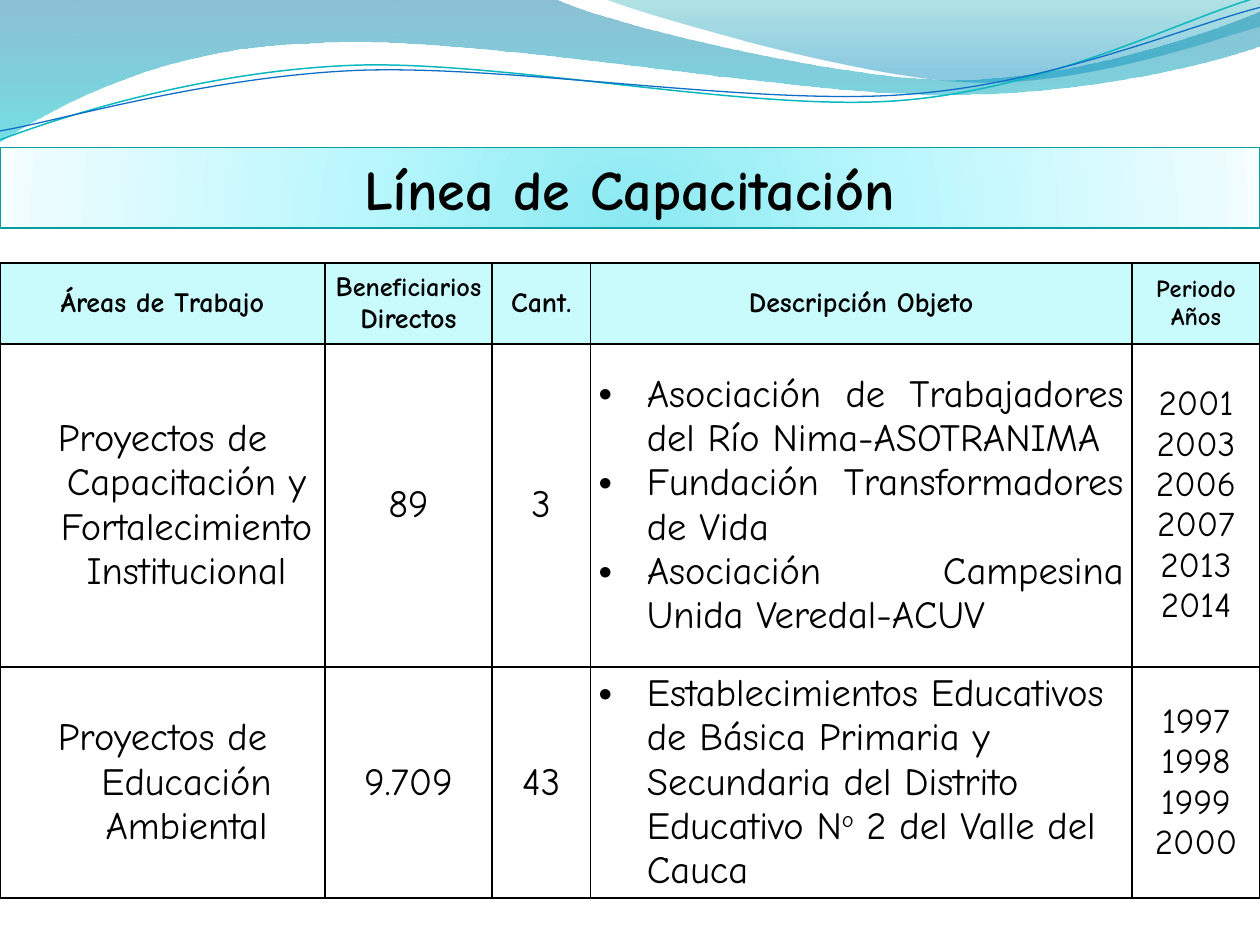
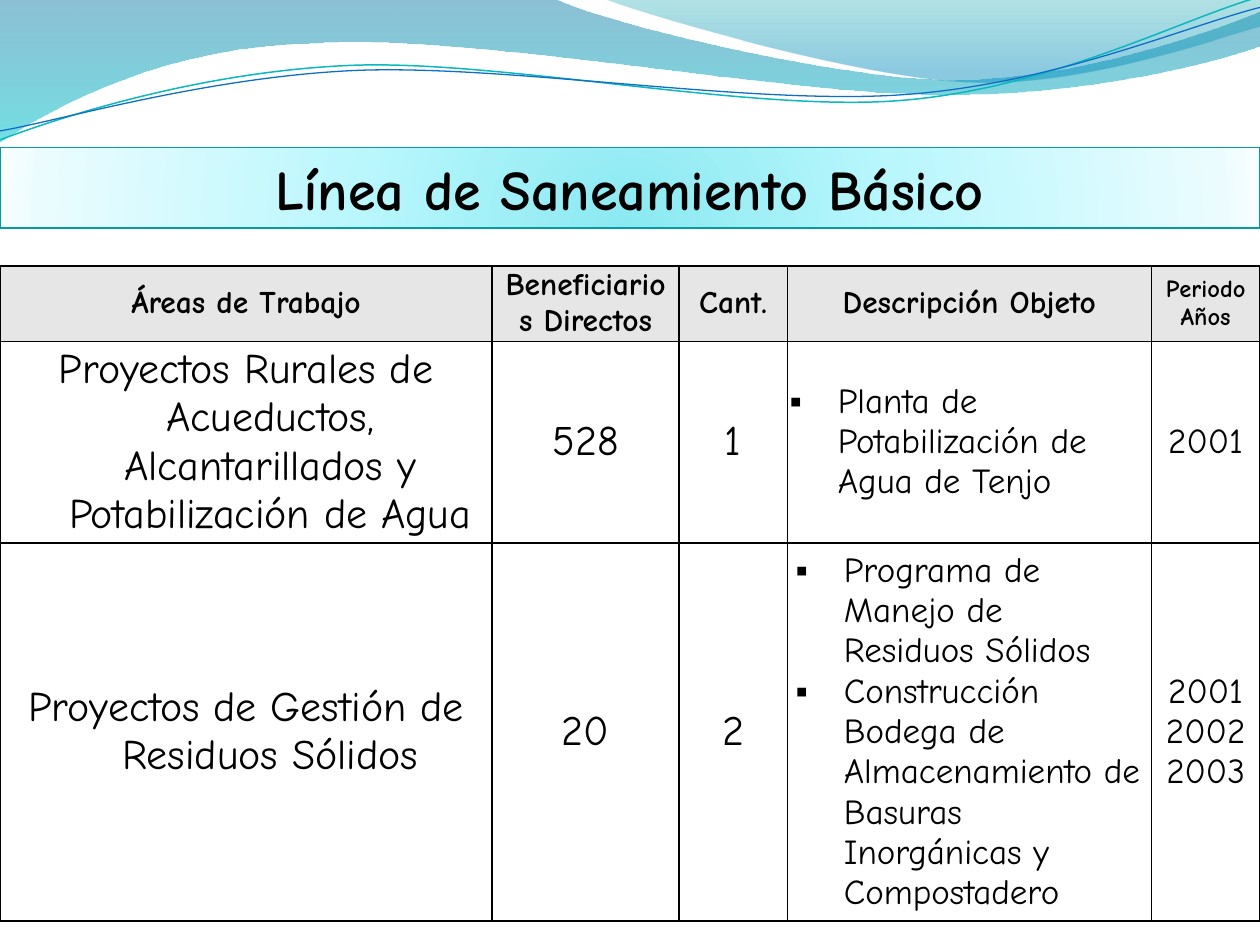
import math

import pptx
import pptx.dml.color
import pptx.enum.text
import pptx.util
from lxml import etree
from pptx.oxml.ns import qn

Cm = pptx.util.Cm
Pt = pptx.util.Pt
CENTER = pptx.enum.text.PP_ALIGN.CENTER
LEFT = pptx.enum.text.PP_ALIGN.LEFT
JUSTIFY = pptx.enum.text.PP_ALIGN.JUSTIFY
MIDDLE = pptx.enum.text.MSO_ANCHOR.MIDDLE

# Outlines in cm: a start, then line ends (one point) or Bezier curves (three points).
BROAD_WAVE = [
    [(0, 0)], [(11.18, -0.03)],
    [(12.09, 0.43), (16.87, 1.6), (19.25, 1.6)],
    [(21.67, 1.6), (24.33, 0.66), (25.4, 0.23)],
    [(25.43, 0.91)],
    [(24.97, 1.12), (22.1, 1.93), (18.95, 1.91)],
    [(15.8, 1.9), (9.7, 0.71), (6.53, 0.86)],
    [(3.28, 0.91), (1.17, 2.11), (-0.03, 2.87)],
    [(0, 0)],
]
RIGHT_WAVE = [
    [(12.17, -0.03)],
    [(12.93, 0.28), (17.32, 1.57), (19.53, 1.65)],
    [(21.74, 1.75), (24.41, 0.81), (25.4, 0.53)],
    [(25.4, 0)], [(12.17, -0.03)],
]
TEAL_CURVE = [
    [(0, 2.82)],
    [(1.22, 2.36), (4.01, 1.45), (7.04, 1.32)],
    [(10.03, 1.19), (15.06, 2.26), (18.11, 2.03)],
    [(21.16, 1.8), (23.83, 0.38), (25.35, -0.05)],
]
BLUE_CURVE = [
    [(0, 2.64)],
    [(1.19, 2.44), (4.17, 1.55), (7.19, 1.42)],
    [(10.24, 1.3), (15.16, 2.13), (18.21, 1.91)],
    [(21.23, 1.7), (23.9, 0.53), (25.4, 0.15)],
]


def rgb(color):
    return pptx.dml.color.RGBColor.from_string(color)


def add_node(parent, tag, **attributes):
    return etree.SubElement(parent, qn(tag), {k: str(v) for k, v in attributes.items()})


def add_color(parent, color, opacity=100):
    node = add_node(parent, "a:srgbClr", val=color)
    if opacity < 100:
        add_node(node, "a:alpha", val=opacity * 1000)


def turn(outline, pivot, degrees):
    cos, sin = math.cos(math.radians(degrees)), math.sin(math.radians(degrees))

    def turn_point(x, y):
        x, y = x - pivot[0], y - pivot[1]
        return pivot[0] + x * cos - y * sin, pivot[1] + x * sin + y * cos

    return [[turn_point(*point) for point in part] for part in outline]


class Slides:
    font = "Comic Neue"
    ink = "000000"
    tilt = -2.7
    hanging = Cm(0.97)

    def __init__(self):
        self.deck = pptx.Presentation()
        self.deck.slide_width, self.deck.slide_height = Cm(25.4), Cm(19.05)
        self.layout = self.deck.slide_layouts[5]
        self.page = None

    def add_page(self, title):
        self.page = self.deck.slides.add_slide(self.layout)
        if len(self.deck.slides) == 1:
            self.draw_waves()
        self.title_band(title)

    def draw_waves(self):
        """Draw the wave header once, on the layout that all pages share."""
        self.wave(BROAD_WAVE, [(0, "0074A1", 45), (100, "00C6CF", 55)])
        self.wave(RIGHT_WAVE, [(0, "00A1A9", 30), (80, "008BBF", 45)])
        self.curve(TEAL_CURVE, (12.68, 1.46), "0AB8BF", 0.85)
        self.curve(BLUE_CURVE, (12.69, 1.5), "0F6FC6", 0.75)

    def freeform(self, outline, close):
        points = [(Cm(x), Cm(y)) for part in outline for x, y in part]
        builder = self.page.shapes.build_freeform(*points[0], scale=1.0)
        builder.add_line_segments(points[1:], close=close)
        shape = builder.convert_to_shape()
        shape.shadow.inherit = False
        self.bend(shape, outline)
        self.layout.shapes.element.append(shape.element)
        return shape

    def bend(self, shape, outline):
        """Join each three line ends of a curved part into one Bezier curve."""
        lines = iter(list(shape.element.iter(qn("a:lnTo"))))
        for part in outline[1:]:
            first, *others = [next(lines) for _ in part]
            if others:
                curve = etree.Element(qn("a:cubicBezTo"))
                first.addprevious(curve)
                for line in (first, *others):
                    curve.append(line[0])
                    line.getparent().remove(line)

    def wave(self, outline, stops):
        shape = self.freeform(outline, close=True)
        add_node(self.gradient(shape, stops), "a:lin", ang=90 * 60000, scaled=0)
        shape.line.fill.background()

    def curve(self, outline, pivot, color, width):
        shape = self.freeform(turn(outline, pivot, -self.tilt), close=False)
        shape.rotation = self.tilt
        shape.fill.background()
        shape.line.color.rgb = rgb(color)
        shape.line.width = Pt(width)

    def gradient(self, shape, stops):
        """Give the shape these stops; the caller adds the direction."""
        shape.fill.gradient()
        fill = shape.element.spPr.find(qn("a:gradFill"))
        for child in list(fill):
            fill.remove(child)
        stop_list = add_node(fill, "a:gsLst")
        for position, color, opacity in stops:
            add_color(add_node(stop_list, "a:gs", pos=position * 1000), color, opacity)
        return fill

    def title_band(self, title):
        box = self.page.shapes.title
        box.left, box.top, box.width, box.height = Cm(0), Cm(2.97), Cm(25.4), Cm(1.63)
        fill = self.gradient(box, [(0, "8BE9F1", 100), (43, "B9F7FD", 100),
                                   (93, "EAFCFE", 100), (100, "F8FEFF", 100)])
        center = add_node(fill, "a:path", path="circle")
        add_node(center, "a:fillToRect", l=50000, t=130000, r=50000, b=-30000)
        box.line.color.rgb = rgb("069CA3")
        box.line.width = Pt(0.75)
        box.shadow.inherit = False
        frame = box.text_frame
        frame.word_wrap = True
        frame.auto_size = pptx.enum.text.MSO_AUTO_SIZE.NONE
        frame.vertical_anchor = MIDDLE
        frame.paragraphs[0].alignment = CENTER
        self.span(frame.paragraphs[0], title, 32, bold=True)

    def span(self, para, text, size, bold=False, raised=False):
        span = para.add_run()
        span.text = text
        span.font.name = self.font
        span.font.size = Pt(size)
        span.font.bold = bold
        span.font.color.rgb = rgb(self.ink)
        if raised:
            span._r.get_or_add_rPr().set("baseline", "30000")

    def hang(self, para, bullet, tab):
        """Give the paragraph a hanging indent, with a bullet if there is one."""
        properties = para._p.get_or_add_pPr()
        properties.set("marL", str(self.hanging))
        properties.set("indent", str(-self.hanging))
        if bullet:
            add_node(properties, "a:buFont", typeface="Arial")
            add_node(properties, "a:buChar", char=bullet)
        add_node(add_node(properties, "a:tabLst"), "a:tab", pos=Cm(tab), algn="l")

    def cell(self, cell, paragraphs, size, align=CENTER, bold=False, fill=None,
             hanging=False, bullet=None, tab=0.51, margin=0.17):
        """Fill a cell; a paragraph is a text or a list of (text, changes)."""
        cell.vertical_anchor = MIDDLE
        cell.margin_left = cell.margin_right = Cm(margin)
        cell.margin_top = cell.margin_bottom = 0
        if fill:
            cell.fill.solid()
            cell.fill.fore_color.rgb = rgb(fill)
        else:
            cell.fill.background()
        self.borders(cell)
        for index, content in enumerate(paragraphs):
            frame = cell.text_frame
            para = frame.add_paragraph() if index else frame.paragraphs[0]
            para.alignment = align
            if hanging or bullet:
                self.hang(para, bullet, tab)
            for text, changes in [(content, {})] if isinstance(content, str) else content:
                self.span(para, text, **{"size": size, "bold": bold, **changes})

    def borders(self, cell):
        properties = cell._tc.get_or_add_tcPr()
        for index, side in enumerate("LRTB"):
            line = add_node(properties, f"a:ln{side}", w=Pt(1))
            add_color(add_node(line, "a:solidFill"), self.ink)
            properties.insert(index, line)

    def table(self, top, widths, heights, header, rows, header_size, header_fill,
              area_size, item_size, bullet):
        table = self.page.shapes.add_table(
            len(heights), len(widths), Cm(0), Cm(top),
            Cm(sum(widths)), Cm(sum(heights))).table
        table.first_row = table.horz_banding = False
        for column, width in zip(table.columns, widths):
            column.width = Cm(width)
        for row, height in zip(table.rows, heights):
            row.height = Cm(height)
        for column, heading in enumerate(header):
            self.cell(table.cell(0, column), [heading], header_size,
                      bold=True, fill=header_fill)
        for number, row in enumerate(rows, 1):
            area, people, count, items, years = row["cells"]
            margin = row.get("margin", 0.17)
            self.cell(table.cell(number, 0), [area], area_size, hanging=True, margin=margin)
            self.cell(table.cell(number, 1), [people], area_size, margin=margin)
            self.cell(table.cell(number, 2), [count], area_size, margin=margin)
            self.cell(table.cell(number, 3), items, item_size, row.get("align", LEFT),
                      bullet=bullet, tab=row.get("tab", 0.51), margin=margin)
            self.cell(table.cell(number, 4), years, 20,
                      margin=row.get("years_margin", margin))


def main():
    slides = Slides()
    period = [("Periodo Años", {"size": 14})]

    slides.add_page("Línea de Capacitación")
    slides.table(
        5.3, [6.55, 3.37, 1.98, 10.92, 2.58], [1.63, 6.52, 4.65],
        ["Áreas de Trabajo",
         [("B", {}), ("eneficiarios ", {"size": 15}), ("Directos", {})],
         "Cant.", "Descripción Objeto", period],
        [{"cells": ["Proyectos de Capacitación y Fortalecimiento Institucional", "89", "3",
                    ["Asociación de Trabajadores del Río Nima-ASOTRANIMA",
                     "Fundación Transformadores de Vida",
                     "Asociación Campesina Unida Veredal-ACUV"],
                    ["2001 2003 2006 2007", "2013", "2014"]],
          "align": JUSTIFY, "tab": 0.64},
         {"cells": ["Proyectos de Educación Ambiental", "9.709", "43",
                    [[("Establecimientos Educativos de Básica Primaria y Secundaria "
                       "del Distrito Educativo N", {}),
                      ("o", {"raised": True}), (" 2 del Valle del Cauca", {})]],
                    ["1997 1998 1999 2000"]]}],
        header_size=16, header_fill="C9FAFC", area_size=22, item_size=22, bullet="•")

    slides.add_page("Línea de Saneamiento Básico")
    slides.table(
        5.36, [9.92, 3.77, 2.18, 7.34, 2.19], [1.52, 4.07, 7.62],
        ["Áreas de Trabajo", "Beneficiarios Directos", "Cant.", "Descripción Objeto",
         period],
        [{"cells": ["Proyectos Rurales de Acueductos, Alcantarillados y "
                    "Potabilización de Agua", "528", "1",
                    ["Planta de Potabilización de Agua de Tenjo"], ["2001"]],
          "margin": 0.05},
         {"cells": ["Proyectos de Gestión de Residuos Sólidos", "20", "2",
                    ["Programa de Manejo de Residuos Sólidos",
                     "Construcción Bodega de Almacenamiento de Basuras Inorgánicas "
                     "y Compostadero"],
                    ["2001 2002 2003"]],
          "years_margin": 0.05}],
        header_size=18, header_fill="E6E6E6", area_size=24, item_size=20, bullet="▪")

    slides.deck.save("out.pptx")


if __name__ == "__main__":
    main()
